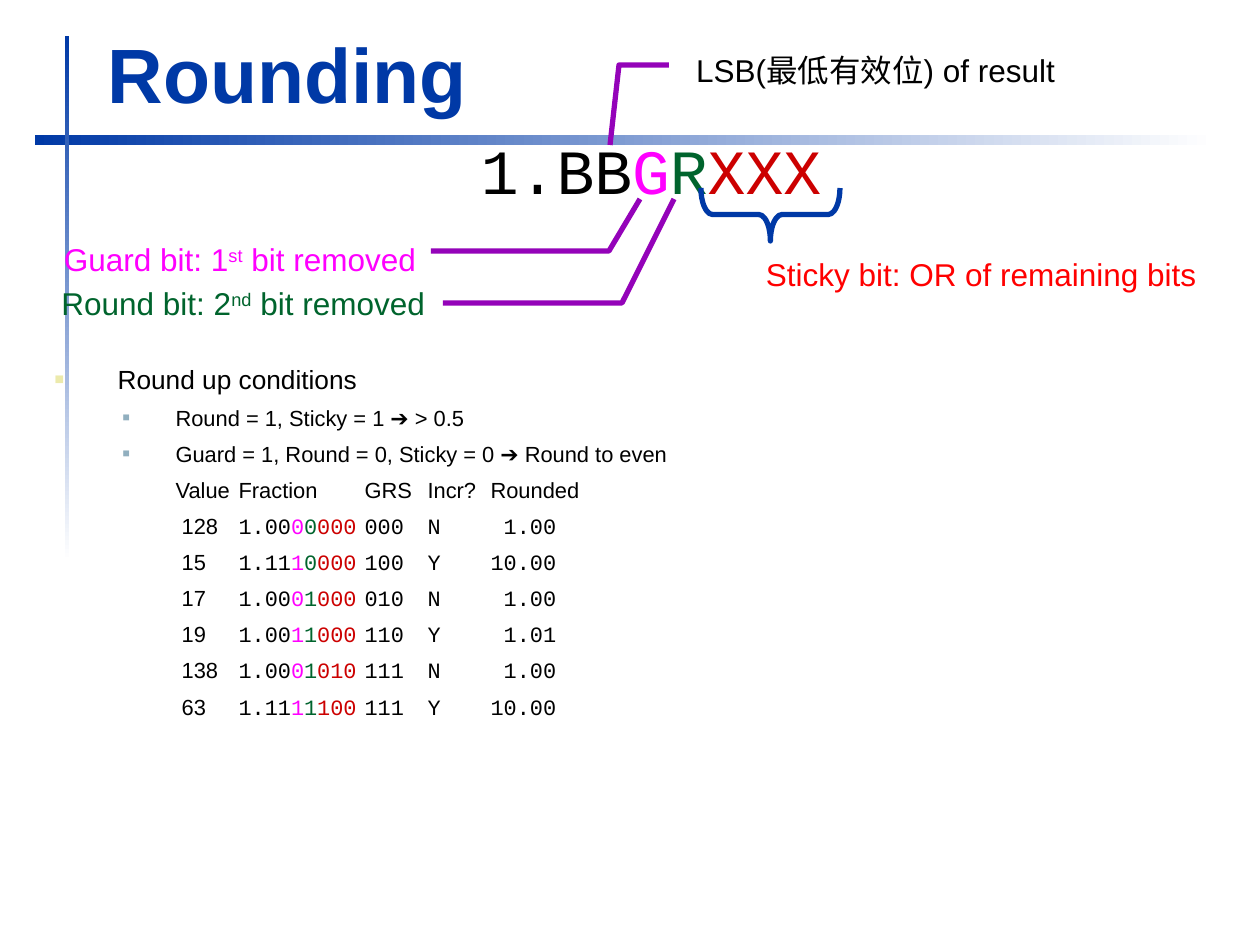
from lxml import etree
from pptx import Presentation
from pptx.dml.color import RGBColor
from pptx.enum.shapes import MSO_SHAPE
from pptx.enum.text import MSO_ANCHOR, MSO_AUTO_SIZE, PP_ALIGN
from pptx.oxml.ns import qn
from pptx.util import Pt

RECT, BRACE = MSO_SHAPE.RECTANGLE, MSO_SHAPE.LEFT_BRACE
BOTTOM, TOP = MSO_ANCHOR.BOTTOM, MSO_ANCHOR.TOP
LEFT, RIGHT = PP_ALIGN.LEFT, PP_ALIGN.RIGHT
FIXED = MSO_AUTO_SIZE.NONE

PX = 7257  # EMU in one px, at 126 px to the inch
SANS, MONO = "Arial", "Courier New"
BLACK, BLUE, PURPLE = "000000", "0039A6", "9403B9"
PINK, GREEN, CRIMSON, RED = "FF00FF", "00642D", "CC0000", "FF0000"


def ink(code):
    return RGBColor.from_string(code)


def write(para, parts, size):
    """Fill a paragraph with (text, font, colour) runs."""
    for text, face, code in parts:
        run = para.add_run()
        run.text = text
        run.font.name, run.font.size = face, Pt(size)
        run.font.color.rgb = ink(code)


prs = Presentation()
prs.slide_width, prs.slide_height = 1260 * PX, 945 * PX
slide = prs.slides.add_slide(prs.slide_layouts[1])
shapes = slide.shapes
title, body = slide.placeholders

# Crossed bars that fade out behind the title
for at, angle in [((65, 36, 4, 525), 270), ((35, 135, 1180, 10), 0)]:
    bar = shapes.add_shape(RECT, *[n * PX for n in at])
    bar.shadow.inherit = False
    bar.line.fill.background()
    bar.fill.gradient()
    bar.fill.gradient_angle = angle
    for stop, code in zip(bar.fill.gradient_stops, (BLUE, "FFFFFF")):
        stop.color.rgb = ink(code)
    # Send the bar to the back
    shapes._spTree.insert(2, bar._element)

# Title
title.left, title.top, title.width, title.height = [n * PX for n in (95, 20, 1138, 105)]
frame = title.text_frame
frame.auto_size, frame.vertical_anchor = FIXED, BOTTOM
para = frame.paragraphs[0]
para.alignment = LEFT
write(para, [("Rounding", SANS, BLUE)], 44)
para.runs[0].font.bold = True

# Round up conditions, then the examples in tabbed columns
body.left, body.top, body.width, body.height = [n * PX for n in (42, 357, 1145, 483)]
frame = body.text_frame
frame.auto_size, frame.vertical_anchor = FIXED, TOP

points = [
    ("Round up conditions", 0, 15, 63, 63, "ECEAAC", 60),
    ("Round = 1, Sticky = 1 ➔ > 0.5", 1, 12.5, 121, 53, "91AFBF", 55),
    ("Guard = 1, Round = 0, Sticky = 0 ➔ Round to even", 1, 12.5, 121, 53, "91AFBF", 55),
]
for i, (text, level, size, left, hang, code, scale) in enumerate(points):
    para = frame.add_paragraph() if i else frame.paragraphs[0]
    para.level = level
    para.space_before = Pt(5.6 if i else 0)
    props = para._p.get_or_add_pPr()
    props.set("marL", str(left * PX))
    props.set("indent", str(-hang * PX))
    tint = etree.SubElement(props, qn("a:buClr"))
    etree.SubElement(tint, qn("a:srgbClr"), val=code)
    etree.SubElement(props, qn("a:buSzPct"), val=str(scale * 1000))
    etree.SubElement(props, qn("a:buFont"), typeface=SANS)
    etree.SubElement(props, qn("a:buChar"), char="■")
    write(para, [(text, SANS, BLACK)], size)

rows = [[("Value\tFraction\tGRS\tIncr?\tRounded", SANS, BLACK)]]
for value, kept, guard, rest, sticky, grs, incr, result in [
    ("128", "1.00", "0", "0", "000", "000", "N", " 1.00"),
    ("15", "1.11", "1", "0", "000", "100", "Y", "10.00"),
    ("17", "1.00", "0", "1", "000", "010", "N", " 1.00"),
    ("19", "1.00", "1", "1", "000", "110", "Y", " 1.01"),
    ("138", "1.00", "0", "1", "010", "111", "N", " 1.00"),
    ("63", "1.11", "1", "1", "100", "111", "Y", "10.00"),
]:
    rows.append([
        (f" {value}\t", SANS, BLACK),
        (kept, MONO, BLACK),
        (guard, MONO, PINK),
        (rest, MONO, GREEN),
        (f"{sticky}\t", MONO, CRIMSON),
        (f"{grs}\t{incr}\t{result}", MONO, BLACK),
    ])
for row in rows:
    para = frame.add_paragraph()
    para.level = 1
    para.space_before = Pt(5.6)
    props = para._p.get_or_add_pPr()
    props.set("marL", str(121 * PX))
    props.set("indent", "0")
    etree.SubElement(props, qn("a:buNone"))
    tabs = etree.SubElement(props, qn("a:tabLst"))
    for n in range(1, 5):
        etree.SubElement(tabs, qn("a:tab"), pos=str(n * 126 * PX), algn="l")
    write(para, row, 12.5)

# Number with its guard, round and sticky bits, and their labels
labels = [
    ((475, 126, 353, 88), LEFT, 36, [("1.BB", MONO, BLACK), ("G", MONO, PINK),
                                     ("R", MONO, GREEN), ("XXX", MONO, CRIMSON)]),
    ((57, 234, 365, 50), RIGHT, 18, [("Guard bit: 1", SANS, PINK), ("st", SANS, PINK),
                                     (" bit removed", SANS, PINK)]),
    ((54, 278, 377, 50), RIGHT, 18, [("Round bit: 2", SANS, GREEN), ("nd", SANS, GREEN),
                                     (" bit removed", SANS, GREEN)]),
    ((760, 249, 443, 50), LEFT, 18, [("Sticky bit: OR of remaining bits", SANS, RED)]),
    ((674, 45, 387, 50), RIGHT, 18, [("LSB(最低有效位) of result", SANS, BLACK)]),
]
for at, align, size, parts in labels:
    frame = shapes.add_textbox(*[n * PX for n in at]).text_frame
    frame.word_wrap = False
    frame.margin_left = frame.margin_right = 6 * PX
    frame.margin_top = frame.margin_bottom = 6 * PX
    para = frame.paragraphs[0]
    para.alignment = align
    write(para, parts, size)
    for run in para.runs:
        if run.text in ("st", "nd"):
            run.font._element.set("baseline", "30000")

# Leader lines from the labels to the bits
for start, *rest in [
    [(431, 251), (609, 251), (640, 199)],
    [(443, 303), (622, 303), (674, 199)],
    [(669, 65), (619, 65), (610, 145)],
]:
    pen = shapes.build_freeform(*start, scale=PX)
    pen.add_line_segments(rest, close=False)
    lead = pen.convert_to_shape()
    lead.shadow.inherit = False
    lead.fill.background()
    lead.line.color.rgb = ink(PURPLE)
    lead.line.width = Pt(3)

# Brace under the sticky bits
brace = shapes.add_shape(BRACE, *[n * PX for n in (744, 145, 53, 139)])
brace.rotation = 270
brace.adjustments[0] = 0.22
brace.shadow.inherit = False
brace.fill.background()
brace.line.color.rgb = ink(BLUE)
brace.line.width = Pt(3)

prs.save("out.pptx")
